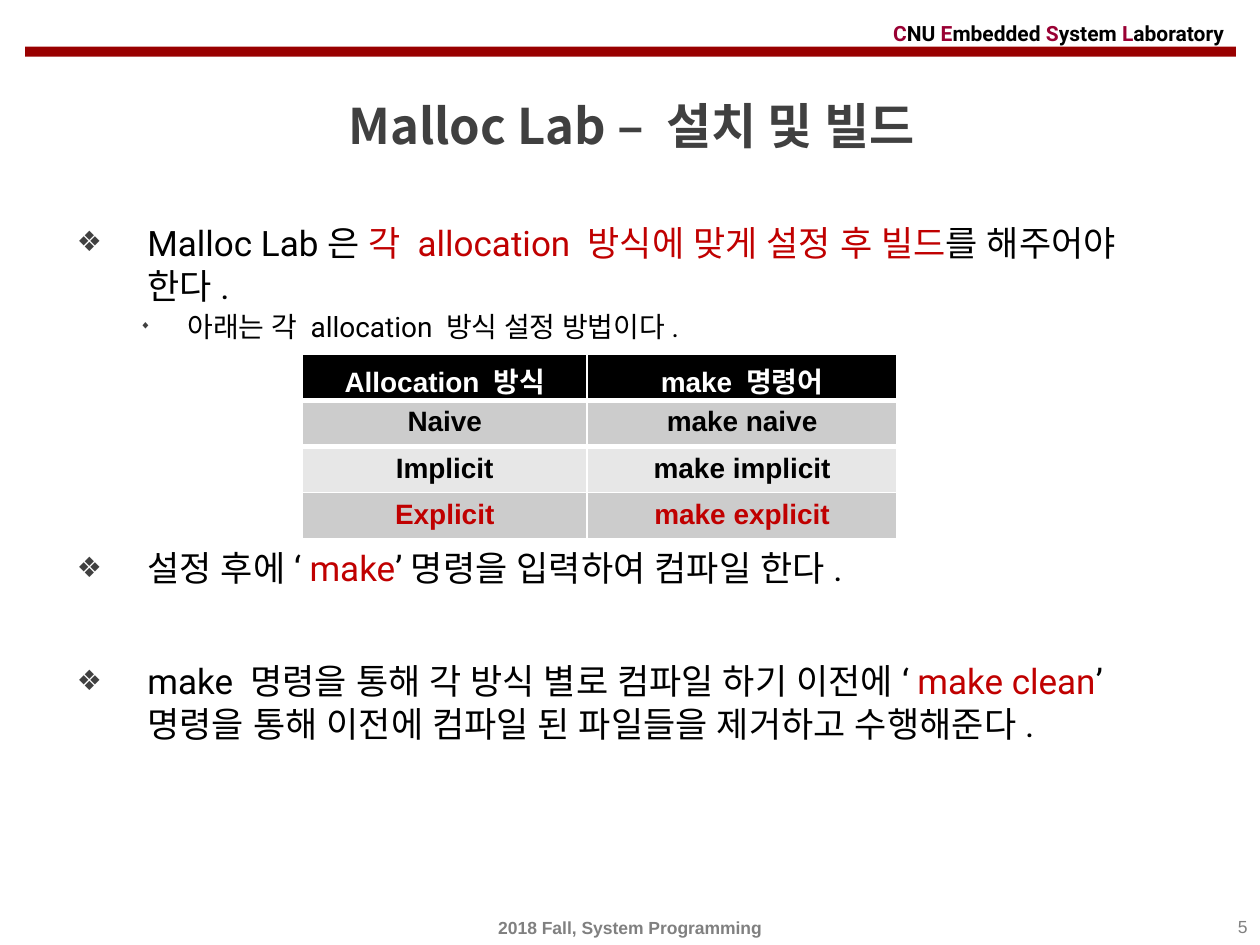
from dataclasses import dataclass

from lxml.etree import SubElement
from pptx import Presentation
from pptx.dml.color import RGBColor
from pptx.enum.shapes import MSO_SHAPE as Shape
from pptx.enum.text import MSO_ANCHOR as Anchor, MSO_AUTO_SIZE as Fit, PP_ALIGN as Align
from pptx.oxml.ns import qn
from pptx.util import Inches, Pt


@dataclass(frozen=True)
class Theme:
    black: str = "000000"
    white: str = "FFFFFF"
    bar: str = "990000"
    mark: str = "990033"
    red: str = "C00000"
    dark: str = "404040"
    gray: str = "808080"
    bands: tuple = ("CCCCCC", "E7E7E7")
    sans: str = "Arial"
    latin: str = "Roboto"
    korean: str = "Noto Sans CJK KR"
    title: int = 28
    body: int = 20
    sub: int = 16
    head: int = 12
    foot: int = 10


T = Theme()

# Level, space before in points, and text; red words stand between bars.
ITEMS = [
    (0, 0, "Malloc Lab은 |각 allocation 방식에 맞게 설정 후 빌드|를 해주어야 한다."),
    (1, 1, "아래는 각 allocation 방식 설정 방법이다."),
    (0, 116, "설정 후에 ‘|make|’명령을 입력하여 컴파일 한다."),
    (0, 40, "make 명령을 통해 각 방식 별로 컴파일 하기 이전에 ‘|make clean|"
            "’ 명령을 통해 이전에 컴파일 된 파일들을 제거하고 수행해준다."),
]
# Left edge, hanging indent, bullet, bullet percent, text size, line height
LEVELS = [
    (0.56, 0.56, "❖", 80, T.body, 24.5),
    (0.88, 0.38, "◆", 40, T.sub, 20),
]
ROWS = [
    ("Allocation 방식", "make 명령어"),
    ("Naive", "make naive"),
    ("Implicit", "make implicit"),
    ("Explicit", "make explicit"),
]


def style(font, size, color, name, bold=False):
    font.size, font.name, font.bold = Pt(size), name, bold
    font.color.rgb = RGBColor.from_string(color)


def set_asian(para, name):
    """Use the named font for Korean letters, and their spaces and quotes."""
    props = para._p.get_or_add_pPr().get_or_add_defRPr()
    SubElement(props, qn("a:ea"), typeface=name)


def place(shape, left, top, width, height):
    shape.left, shape.top = Inches(left), Inches(top)
    shape.width, shape.height = Inches(width), Inches(height)


def add_runs(para, text, colors):
    """Split text at the bars and alternate the two colours."""
    for i, part in enumerate(text.split("|")):
        if part:
            run = para.add_run()
            run.text = part
            run.font.color.rgb = RGBColor.from_string(colors[i % 2])


def add_label(slide, box, text, size, color, name, align, bold=False, anchor=Anchor.MIDDLE):
    frame = slide.shapes.add_textbox(*map(Inches, box)).text_frame
    frame.word_wrap, frame.vertical_anchor = True, anchor
    para = frame.paragraphs[0]
    para.alignment = align
    style(para.font, size, color, name, bold)
    add_runs(para, text, (color, T.mark))


def add_bar(slide):
    bar = slide.shapes.add_shape(Shape.RECTANGLE, *map(Inches, (0.2, 0.37, 9.61, 0.08)))
    bar.shadow.inherit = False
    bar.fill.solid()
    bar.fill.fore_color.rgb = RGBColor.from_string(T.bar)
    bar.line.fill.background()


def set_title(shape, text):
    place(shape, 0.21, 0.6, 9.6, 0.79)
    frame = shape.text_frame
    frame.text, frame.vertical_anchor = text, Anchor.MIDDLE
    para = frame.paragraphs[0]
    para.alignment = Align.CENTER
    style(para.font, T.title, T.dark, T.korean, True)
    set_asian(para, T.korean)


def set_bullet(para, left, hang, char, percent):
    props = para._p.get_or_add_pPr()
    props.set("marL", str(Inches(left)))
    props.set("indent", str(-Inches(hang)))
    color = SubElement(props, qn("a:buClr"))
    SubElement(color, qn("a:srgbClr"), val=T.dark)
    SubElement(props, qn("a:buSzPct"), val=str(percent * 1000))
    SubElement(props, qn("a:buChar"), char=char)


def set_body(shape):
    place(shape, 0.51, 1.7, 8.9, 5.28)
    frame = shape.text_frame
    frame.auto_size, frame.vertical_anchor = Fit.NONE, Anchor.TOP
    for i, (level, gap, text) in enumerate(ITEMS):
        para = frame.add_paragraph() if i else frame.paragraphs[0]
        left, hang, char, percent, size, pitch = LEVELS[level]
        para.level = level
        para.space_before, para.line_spacing = Pt(gap), Pt(pitch)
        set_bullet(para, left, hang, char, percent)
        style(para.font, size, T.black, T.latin)
        set_asian(para, T.latin)
        add_runs(para, text, (T.black, T.red))


def set_border(cell, side, points):
    line = SubElement(cell._tc.get_or_add_tcPr(), qn(f"a:{side}"), w=str(Pt(points)))
    fill = SubElement(line, qn("a:solidFill"))
    SubElement(fill, qn("a:srgbClr"), val=T.white)


def add_grid(slide):
    box = map(Inches, (2.4, 2.81, 4.72, 1.4))
    table = slide.shapes.add_table(len(ROWS), 2, *box).table
    for col, width in zip(table.columns, (2.26, 2.46)):
        col.width = Inches(width)
    for r, row in enumerate(ROWS):
        fill = T.bands[(r - 1) % 2] if r else T.black
        color = {0: T.white, len(ROWS) - 1: T.red}.get(r, T.black)
        for c, text in enumerate(row):
            cell = table.cell(r, c)
            cell.text = text
            if r < 2:
                set_border(cell, "lnT" if r else "lnB", 3)
            cell.fill.solid()
            cell.fill.fore_color.rgb = RGBColor.from_string(fill)
            para = cell.text_frame.paragraphs[0]
            para.alignment = Align.CENTER
            style(para.font, T.sub, color, T.sans, True)


def main():
    deck = Presentation()
    deck.slide_width, deck.slide_height = Inches(10), Inches(7.5)
    slide = deck.slides.add_slide(deck.slide_layouts[1])
    add_bar(slide)
    add_label(slide, (6.99, 0.12, 3.03, 0.28), "|C|NU |E|mbedded |S|ystem |L|aboratory",
              T.head, T.black, T.latin, Align.LEFT, True)
    set_title(slide.shapes.title, "Malloc Lab – 설치 및 빌드")
    add_label(slide, (0, 7.22, 10, 0.28), "2018 Fall, System Programming",
              T.foot, T.gray, T.sans, Align.CENTER, True)
    add_label(slide, (7.67, 7.22, 2.33, 0.28), "5",
              T.foot, T.gray, T.sans, Align.RIGHT, anchor=Anchor.TOP)
    set_body(slide.placeholders[1])
    add_grid(slide)
    deck.save("out.pptx")


if __name__ == "__main__":
    main()
